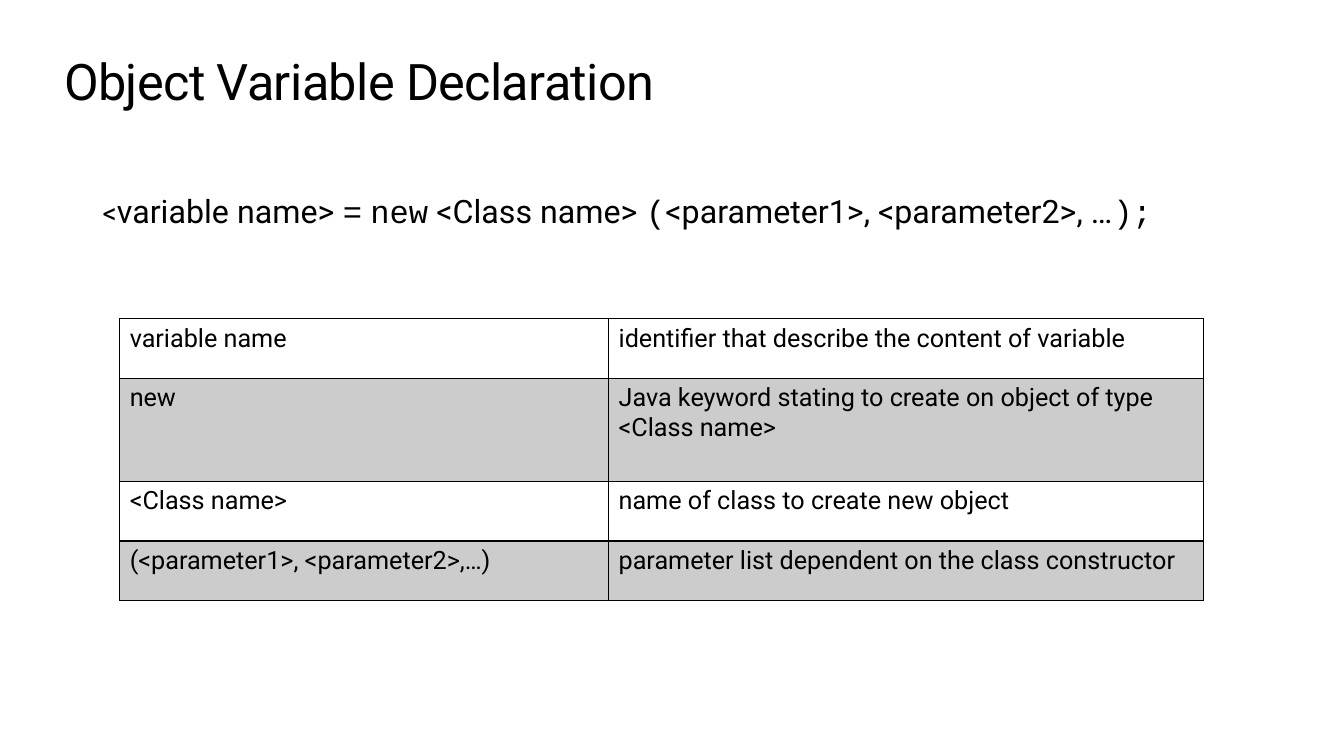
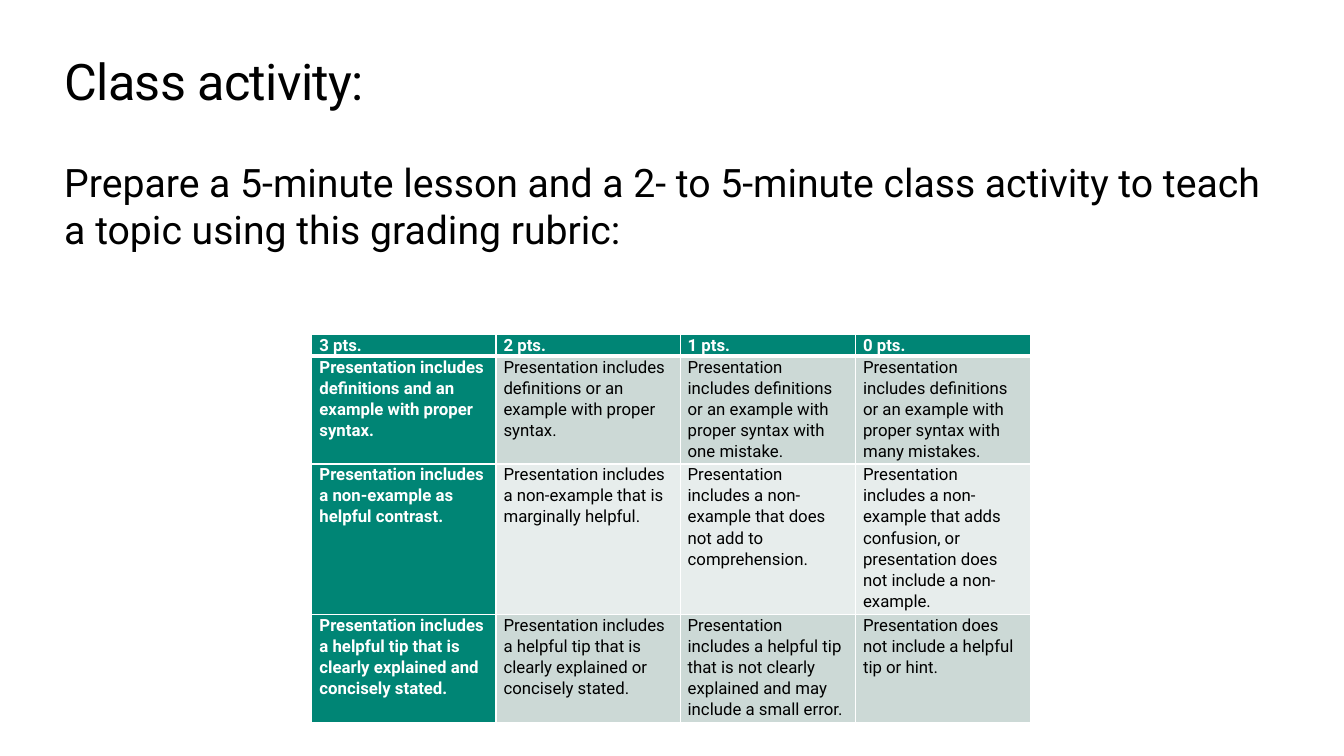
import lxml.etree
import pptx
import pptx.dml.color
import pptx.oxml.ns
import pptx.util

Cm = pptx.util.Cm
Pt = pptx.util.Pt
qn = pptx.oxml.ns.qn

# Shared look
BODY_FONT, CODE_FONT = "Roboto", "Courier New"
BLACK, WHITE, GREY = "000000", "FFFFFF", "CCCCCC"
TEAL, MIST, PALE = "008575", "CCD9D6", "E7EDEC"
MARGIN, CONTENT_WIDTH = 1.62, 30.61

# Content
DECLARATION = [
    ("<", 20, BODY_FONT),
    ("variable name> ", 23, BODY_FONT),
    ("=", 23, CODE_FONT),
    (" ", 23, BODY_FONT),
    ("new", 23, CODE_FONT),
    (" <Class name> ", 23, BODY_FONT),
    ("(", 23, CODE_FONT),
    ("<parameter1>, <parameter2>, …", 23, BODY_FONT),
    (");", 23, CODE_FONT),
]
TERMS = [
    ("variable name", "identifier that describe the content of variable"),
    ("new", "Java keyword stating to create on object of type <Class name>"),
    ("<Class name>", "name of class to create new object"),
    ("(<parameter1>, <parameter2>,…)",
     "parameter list dependent on the class constructor"),
]
RUBRIC = [
    ("3 pts.", "2 pts.", "1 pts.", "0 pts."),
    ("Presentation includes definitions and an example with proper syntax.",
     "Presentation includes definitions or an example with proper syntax.",
     "Presentation includes definitions or an example with proper syntax "
     "with one mistake.",
     "Presentation includes definitions or an example with proper syntax "
     "with many mistakes."),
    ("Presentation includes a non-example as helpful contrast.",
     "Presentation includes a non-example that is marginally helpful.",
     "Presentation includes a non-example that does not add to comprehension.",
     "Presentation includes a non-example that adds confusion, or "
     "presentation does not include a non-example."),
    ("Presentation includes a helpful tip that is clearly explained and "
     "concisely stated.",
     "Presentation includes a helpful tip that is clearly explained or "
     "concisely stated.",
     "Presentation includes a helpful tip that is not clearly explained and "
     "may include a small error.",
     "Presentation does not include a helpful tip or hint."),
]


def rgb(value):
    return pptx.dml.color.RGBColor.from_string(value)


def style_run(run, size, font=BODY_FONT, color=BLACK, bold=False):
    run.font.size = Pt(size)
    run.font.name = font
    run.font.color.rgb = rgb(color)
    run.font.bold = bold


def add_text(slide, left, top, width, height, pieces, inset=0.0):
    """Add one paragraph made of (text, size, font) pieces."""
    box = slide.shapes.add_textbox(Cm(left), Cm(top), Cm(width), Cm(height))
    frame = box.text_frame
    frame.word_wrap = True
    frame.margin_left = frame.margin_right = Cm(inset)
    frame.margin_top = frame.margin_bottom = Cm(inset / 2)
    for text, size, font in pieces:
        run = frame.paragraphs[0].add_run()
        run.text = text
        style_run(run, size, font)
    return frame.paragraphs[0]


def add_titled_slide(deck, title):
    slide = deck.slides.add_slide(deck.slide_layouts[6])
    heading = add_text(slide, MARGIN, 1.27, CONTENT_WIDTH, 1.55,
                       [(title, 36, BODY_FONT)])
    for run in heading.runs:
        run._r.get_or_add_rPr().set("spc", "-45")
    return slide


def set_borders(cell, color, bottom_width):
    properties = cell._tc.get_or_add_tcPr()
    widths = {"a:lnL": 1, "a:lnR": 1, "a:lnT": 1, "a:lnB": bottom_width}
    for side, width in widths.items():
        line = lxml.etree.SubElement(properties, qn(side), w=str(Pt(width)))
        fill = lxml.etree.SubElement(line, qn("a:solidFill"))
        lxml.etree.SubElement(fill, qn("a:srgbClr"), val=color)


def add_grid(slide, left, top, widths, heights, rows, look, size,
             border, margins, spacing=1.0):
    """Add a table; look(row, column) gives fill, text colour, bold, bottom line."""
    frame = slide.shapes.add_table(len(rows), len(widths), Cm(left), Cm(top),
                                   Cm(sum(widths)), Cm(sum(heights)))
    table = frame.table
    table.first_row = table.horz_banding = False
    for column, width in zip(table.columns, widths):
        column.width = Cm(width)
    for row, height in zip(table.rows, heights):
        row.height = Cm(height)
    side, edge = margins
    for r, texts in enumerate(rows):
        for c, text in enumerate(texts):
            fill, color, bold, bottom_width = look(r, c)
            cell = table.cell(r, c)
            cell.margin_left = cell.margin_right = Cm(side)
            cell.margin_top = cell.margin_bottom = Cm(edge)
            set_borders(cell, border, bottom_width)
            cell.fill.solid()
            cell.fill.fore_color.rgb = rgb(fill)
            cell.text_frame.text = text
            paragraph = cell.text_frame.paragraphs[0]
            paragraph.line_spacing = spacing
            style_run(paragraph.runs[0], size, color=color, bold=bold)


def term_look(row, column):
    return (GREY if row % 2 else WHITE), BLACK, False, 1


def rubric_look(row, column):
    if row == 0:
        return TEAL, WHITE, True, 3
    if column == 0:
        return TEAL, WHITE, True, 1
    return (MIST if row % 2 else PALE), BLACK, False, 1


def build_declaration(deck):
    slide = add_titled_slide(deck, "Object Variable Declaration")
    add_text(slide, 2.34, 4.7, 28.7, 4.65, DECLARATION, inset=0.25)
    add_grid(slide, 3.02, 8.03, [12.32, 14.99], [1.5, 2.6, 1.5, 1.5], TERMS,
             term_look, 18, BLACK, (0.25, 0.13))


def build_activity(deck):
    slide = add_titled_slide(deck, "Class activity:")
    task = ("Prepare a 5-minute lesson and a 2- to 5-minute class activity "
            "to teach a topic using this grading rubric:")
    add_text(slide, MARGIN, 3.99, CONTENT_WIDTH, 3.84, [(task, 28, BODY_FONT)])
    add_grid(slide, 7.86, 8.43, [4.64, 4.64, 4.42, 4.42],
             [0.53, 2.7, 3.8, 2.72], RUBRIC, rubric_look, 12, WHITE,
             (0.19, 0), spacing=1.07)


def main():
    deck = pptx.Presentation()
    deck.slide_width, deck.slide_height = Cm(33.87), Cm(19.05)
    build_declaration(deck)
    build_activity(deck)
    deck.save("out.pptx")


if __name__ == "__main__":
    main()
